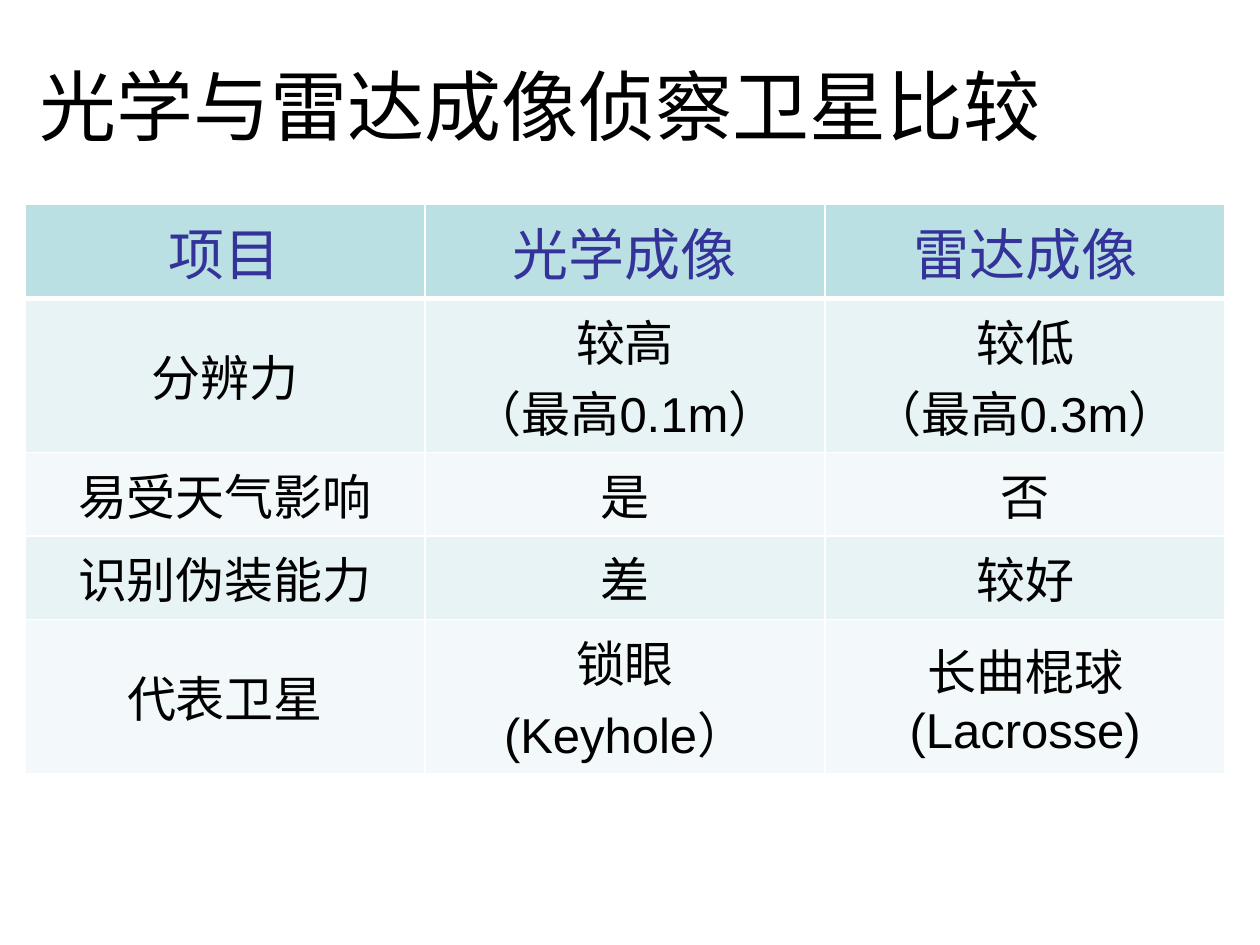
from dataclasses import dataclass

import pptx
import pptx.dml.color
import pptx.enum.text
import pptx.oxml
import pptx.oxml.ns
import pptx.util
from pptx.util import Cm

CENTER = pptx.enum.text.PP_ALIGN.CENTER
MIDDLE = pptx.enum.text.MSO_ANCHOR.MIDDLE


@dataclass(frozen=True)
class Theme:
    title_font: str = "Cabin"
    body_font: str = "Arial"
    title_size: int = 44
    header_size: int = 32
    body_size: int = 28
    ink: str = "000000"
    header_ink: str = "333399"
    header_fill: str = "BBE0E3"
    bands: tuple = ("E7F3F4", "F3F9FA")
    rule: str = "FFFFFF"


THEME = Theme()
HEADING = "光学与雷达成像侦察卫星比较"
COMPARISON = [
    ("项目", "光学成像", "雷达成像"),
    ("分辨力", "较高\n（最高0.1m）", "较低\n（最高0.3m）"),
    ("易受天气影响", "是", "否"),
    ("识别伪装能力", "差", "较好"),
    ("代表卫星", "锁眼\n(Keyhole）", "长曲棍球\n(Lacrosse)"),
]
ROW_HEIGHTS = (1.85, 3.02, 1.65, 1.65, 3.02)


def color(value):
    return pptx.dml.color.RGBColor.from_string(value)


def write(frame, text, font, size, ink):
    """Fill a text frame, one centred paragraph per line of text."""
    frame.text = text
    for paragraph in frame.paragraphs:
        paragraph.alignment = CENTER
        for run in paragraph.runs:
            look = {"name": font, "size": pptx.util.Pt(size), "bold": False}
            for attribute, value in look.items():
                setattr(run.font, attribute, value)
            run.font.color.rgb = color(ink)


def rule_cell(cell, widths):
    """Draw the cell's borders; widths maps each side (L, R, T, B) to points."""
    properties = cell._tc.get_or_add_tcPr()
    for position, (side, width) in enumerate(widths.items()):
        border = pptx.oxml.parse_xml(
            f'<a:ln{side} {pptx.oxml.ns.nsdecls("a")} w="{pptx.util.Pt(width)}">'
            f'<a:solidFill><a:srgbClr val="{THEME.rule}"/></a:solidFill></a:ln{side}>'
        )
        properties.insert(position, border)


def place_title(slide, left, top, width, height):
    title = slide.shapes.title
    box = {"left": left, "top": top, "width": width, "height": height}
    for attribute, value in box.items():
        setattr(title, attribute, value)
    frame = title.text_frame
    frame.vertical_anchor = MIDDLE
    frame.auto_size = pptx.enum.text.MSO_AUTO_SIZE.NONE
    write(frame, HEADING, THEME.title_font, THEME.title_size, THEME.ink)


def place_comparison(slide, left, top, width):
    columns = len(COMPARISON[0])
    table = slide.shapes.add_table(
        len(COMPARISON), columns, left, top, width, Cm(sum(ROW_HEIGHTS))
    ).table
    for column in table.columns:
        column.width = width // columns
    for row, height in zip(table.rows, ROW_HEIGHTS):
        row.height = Cm(height)
    for r, texts in enumerate(COMPARISON):
        header = r == 0
        fill = THEME.header_fill if header else THEME.bands[(r - 1) % 2]
        size = THEME.header_size if header else THEME.body_size
        ink = THEME.header_ink if header else THEME.ink
        for c, text in enumerate(texts):
            cell = table.cell(r, c)
            cell.vertical_anchor = MIDDLE
            cell.fill.solid()
            cell.fill.fore_color.rgb = color(fill)
            write(cell.text_frame, text, THEME.body_font, size, ink)
            rule_cell(cell, {"L": 1, "R": 1, "T": 1, "B": 3 if header else 1})


def main():
    deck = pptx.Presentation()
    deck.slide_width, deck.slide_height = Cm(25.4), Cm(19.05)
    slide = deck.slides.add_slide(deck.slide_layouts.get_by_name("Title Only"))
    place_title(slide, Cm(0.5), Cm(0.53), Cm(20.8), Cm(3.18))
    place_comparison(slide, Cm(0.5), Cm(4.12), Cm(24.2))
    deck.save("out.pptx")


if __name__ == "__main__":
    main()
